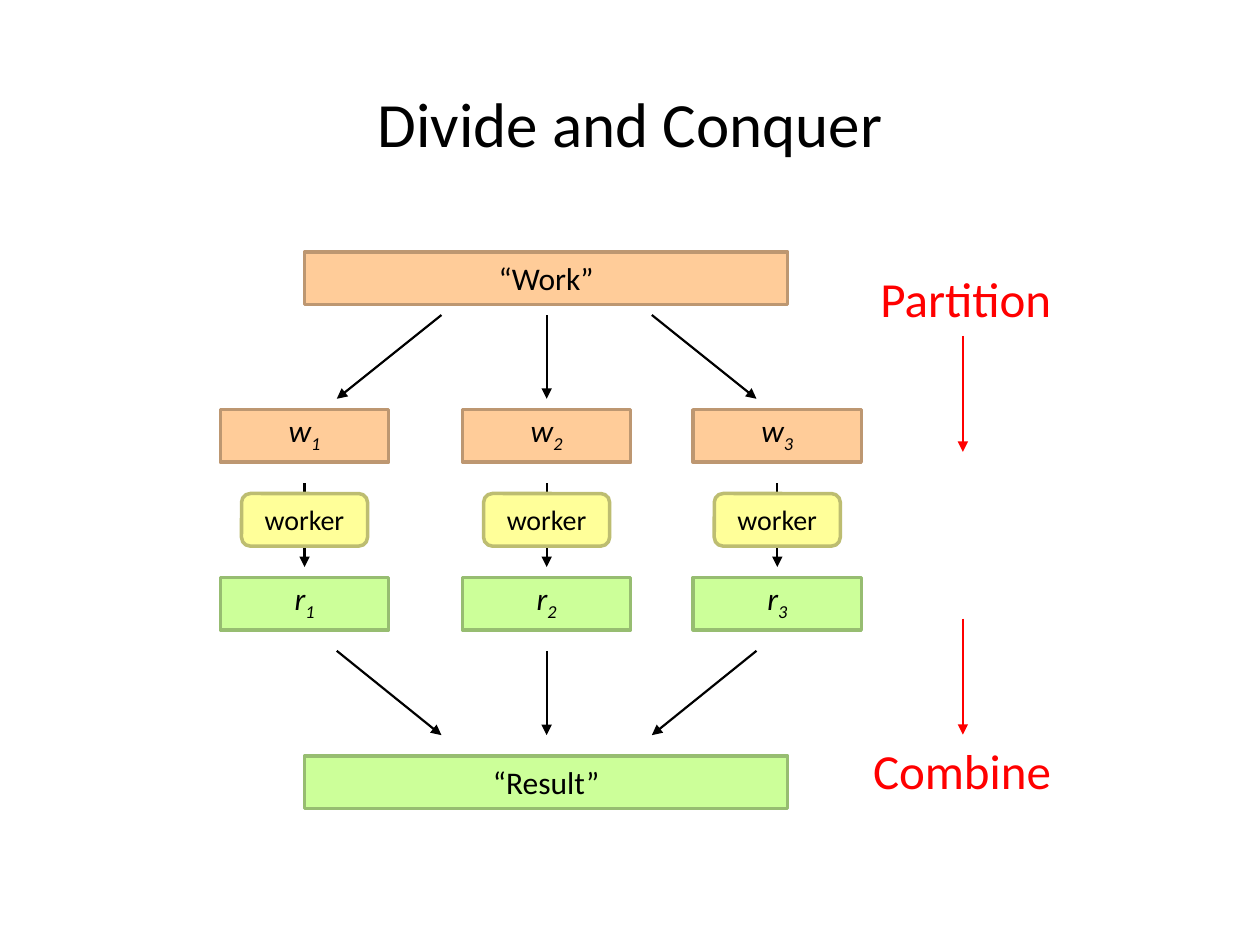
from lxml import etree
from pptx import Presentation
from pptx.dml.color import RGBColor
from pptx.enum import shapes, text
from pptx.oxml import ns
from pptx.util import Cm, Pt

BLACK = RGBColor(0x00, 0x00, 0x00)
RED = RGBColor(0xFF, 0x00, 0x00)
PEACH = RGBColor(0xFF, 0xCC, 0x99)
BROWN = RGBColor(0xBD, 0x97, 0x71)
LIME = RGBColor(0xCC, 0xFF, 0x99)
GREEN = RGBColor(0x97, 0xBD, 0x71)
YELLOW = RGBColor(0xFF, 0xFF, 0x99)
OLIVE = RGBColor(0xBD, 0xBD, 0x71)
FONT = "Calibri"
RECT = shapes.MSO_SHAPE.RECTANGLE
ROUND = shapes.MSO_SHAPE.ROUNDED_RECTANGLE
HIGH = 1.06


def write(shape, words, sub="", size=18, color=BLACK, italic=False,
          align=text.PP_ALIGN.CENTER, anchor=text.MSO_ANCHOR.MIDDLE, wrap=True):
    """Fill a shape with one line of text and an optional subscript."""
    frame = shape.text_frame
    frame.word_wrap = wrap
    frame.vertical_anchor = anchor
    para = frame.paragraphs[0]
    para.alignment = align
    for part in filter(None, (words, sub)):
        run = para.add_run()
        run.text = part
        font = run.font
        font.name, font.size, font.italic = FONT, Pt(size), italic
        font.color.rgb = color
        if part == sub:
            font._element.set("baseline", "-25000")
    return frame


def block(slide, kind, left, top, width, fill, edge):
    """Add an outlined block of the common height."""
    shape = slide.shapes.add_shape(kind, Cm(left), Cm(top), Cm(width), Cm(HIGH))
    shape.shadow.inherit = False
    shape.fill.solid()
    shape.fill.fore_color.rgb = fill
    shape.line.color.rgb = edge
    shape.line.width = Pt(2)
    return shape


def arrow(slide, start, end, color=BLACK, width=1.25):
    """Draw a straight arrow between two points."""
    line = slide.shapes.add_connector(
        shapes.MSO_CONNECTOR.STRAIGHT, *(Cm(n) for n in (*start, *end)))
    line.line.color.rgb = color
    line.line.width = Pt(width)
    etree.SubElement(line.line._get_or_add_ln(), ns.qn("a:tailEnd"), type="triangle")
    etree.SubElement(line._element.spPr, ns.qn("a:effectLst"))


def title(slide, left, top, width, height):
    """Place the centred heading."""
    box = slide.shapes.add_textbox(Cm(left), Cm(top), Cm(width), Cm(height))
    write(box, "Divide and Conquer", size=36)


def term(slide, mid, top, name, sub, fill, edge):
    """Place a subscripted item centred on a column."""
    width = 3.39
    shape = block(slide, RECT, mid - width / 2, top, width, fill, edge)
    frame = write(shape, name, sub, italic=True)
    frame.margin_top, frame.margin_bottom = 0, Cm(0.13)


def lane(slide, mid, top, sub):
    """Place one column from work item through worker to result."""
    term(slide, mid, top, "w", sub, PEACH, BROWN)
    term(slide, mid, top + 3.38, "r", sub, LIME, GREEN)
    arrow(slide, (mid, top + 1.48), (mid, top + 3.17))
    shape = block(slide, ROUND, mid - 1.27, top + 1.69, 2.54, YELLOW, OLIVE)
    write(shape, "worker", size=16)


def flow(slide, left, top):
    """Place the split, the three lanes and the merge."""
    mid = left + 6.57
    for words, drop, fill, edge in (("“Work”", 0, PEACH, BROWN),
                                    ("“Result”", 10.16, LIME, GREEN)):
        write(block(slide, RECT, left + 1.69, top + drop, 9.74, fill, edge), words)
    for side in (-1, 0, 1):
        near, far = mid + side * 2.12, mid + side * 4.23
        arrow(slide, (near, top + 1.27), (far, top + 2.96))
        arrow(slide, (far, top + 8.04), (near, top + 9.74))
    for sub, shift in (("1", 1.69), ("2", 6.57), ("3", 11.22)):
        lane(slide, left + shift, top + 3.18, sub)


def stages(slide, left, top):
    """Place the two stage labels with their arrows."""
    for words, shift, drop, width, start in (("Partition", 0.15, 0, 4.01, 1.49),
                                             ("Combine", 0, 9.53, 4.24, 7.19)):
        box = slide.shapes.add_textbox(
            Cm(left + shift), Cm(top + drop), Cm(width), Cm(1.45))
        frame = write(box, words, size=28, color=RED, align=text.PP_ALIGN.LEFT,
                      anchor=text.MSO_ANCHOR.TOP, wrap=False)
        frame.auto_size = text.MSO_AUTO_SIZE.SHAPE_TO_FIT_TEXT
        mid = left + 2.06
        arrow(slide, (mid, top + start), (mid, top + start + 2.34), RED, 1.5)


def main():
    """Build and save the slide."""
    deck = Presentation()
    deck.slide_width, deck.slide_height = Cm(25.4), Cm(19.05)
    slide = deck.slides.add_slide(deck.slide_layouts[6])
    flow(slide, 4.45, 5.08)
    stages(slide, 17.35, 5.28)
    title(slide, 0, 1.52, 25.4, 1.9)
    deck.save("out.pptx")


if __name__ == "__main__":
    main()
